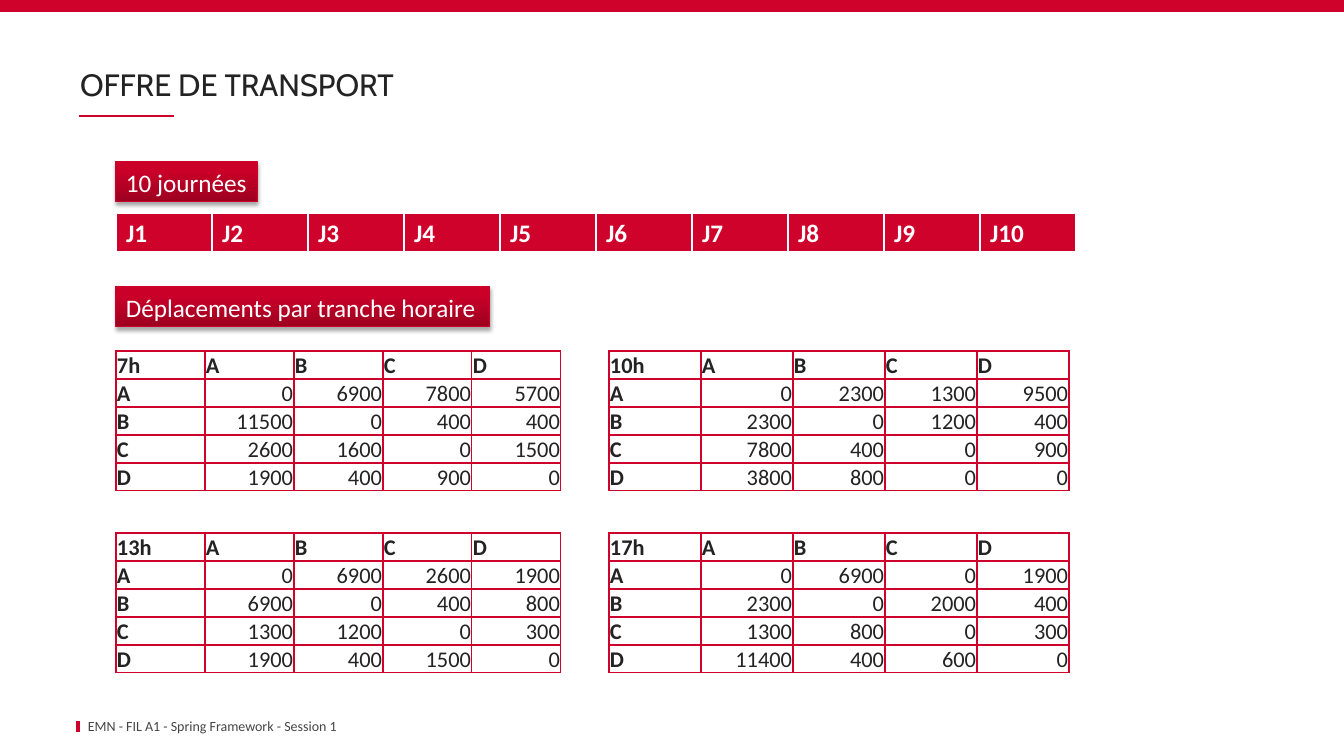
from lxml import etree
from pptx import Presentation, util as u
from pptx.dml.color import RGBColor
from pptx.enum import shapes, text
from pptx.oxml.ns import qn

TITLE = "OFFRE DE TRANSPORT"
FOOTER = "EMN - FIL A1 - Spring Framework - Session 1"
DAYS = [f"J{n}" for n in range(1, 11)]
LABELS = [("10 journées", 162, 142), ("Déplacements par tranche horaire", 287, 374)]
ZONES = "ABCD"
TRIPS = {
    "7h": [(0, 6900, 7800, 5700), (11500, 0, 400, 400),
           (2600, 1600, 0, 1500), (1900, 400, 900, 0)],
    "10h": [(0, 2300, 1300, 9500), (2300, 0, 1200, 400),
            (7800, 400, 0, 900), (3800, 800, 0, 0)],
    "13h": [(0, 6900, 2600, 1900), (6900, 0, 400, 800),
            (1300, 1200, 0, 300), (1900, 400, 1500, 0)],
    "17h": [(0, 6900, 0, 1900), (2300, 0, 2000, 400),
            (1300, 800, 0, 300), (11400, 400, 600, 0)],
}
LEFT = 116
SPOTS = [(LEFT, 89), (609, 92)]  # left edge and column width
TOPS = [351, 533]
RED, INK, GREY, WHITE = "CF022B", "232323", "464646", "FFFFFF"


def px(n):
    return u.Emu(round(n * 914400 / 100.8))


def color(code):
    return RGBColor.from_string(code)


def style(par, size, code, bold=False, face="Calibri"):
    font = par.font
    font.name, font.size, font.bold = face, u.Pt(size), bold
    font.color.rgb = color(code)


def inset(box, left, top, right, bottom):
    box.margin_left, box.margin_top = px(left), px(top)
    box.margin_right, box.margin_bottom = px(right), px(bottom)


def rule(x1, y1, x2, y2, width):
    line = slide.shapes.add_connector(
        shapes.MSO_CONNECTOR.STRAIGHT, px(x1), px(y1), px(x2), px(y2))
    line.line.color.rgb = color(RED)
    line.line.width = u.Pt(width)
    etree.SubElement(line._element.spPr, qn("a:effectLst"))


def border(cell, code, base=1):
    """Draw 1 pt cell borders, with the bottom one base points wide."""
    props = cell._tc.get_or_add_tcPr()
    for side, width in zip("LRTB", (1, 1, 1, base)):
        edge = etree.SubElement(props, qn(f"a:ln{side}"), w=str(u.Pt(width)))
        fill = etree.SubElement(edge, qn("a:solidFill"))
        etree.SubElement(fill, qn("a:srgbClr"), val=code)


def grid(rows, x, y, wide, high):
    """Add a plain table and yield each cell with its row, column and value."""
    count = len(rows[0])
    table = slide.shapes.add_table(len(rows), count, px(x), px(y),
                                   px(wide * count), px(high * len(rows))).table
    table.first_row = table.horz_banding = False
    for r, row in enumerate(rows):
        for c, value in enumerate(row):
            cell = table.cell(r, c)
            cell.text = str(value)
            yield cell, r, c


def trips(hour, data, x, y, wide):
    rows = [(hour, *ZONES)] + [(z, *row) for z, row in zip(ZONES, data)]
    for cell, r, c in grid(rows, x, y, wide, 28):
        head = r == 0 or c == 0
        border(cell, RED)
        cell.fill.background()
        inset(cell, 1, 1, 1, 0)
        cell.vertical_anchor = text.MSO_ANCHOR.BOTTOM
        par = cell.text_frame.paragraphs[0]
        style(par, 16, INK, head)
        par.alignment = text.PP_ALIGN.LEFT if head else text.PP_ALIGN.RIGHT


def label(words, y, wide):
    box = slide.shapes.add_shape(shapes.MSO_SHAPE.RECTANGLE,
                                 px(LEFT), px(y), px(wide), px(40))
    box.fill.gradient()
    box.fill.gradient_angle = 90
    for stop, code, place in zip(box.fill.gradient_stops,
                                 ("9C001F", "CB0029"), (0, 0.8)):
        stop.color.rgb, stop.position = color(code), place
    box.line.color.rgb = color("CC0029")
    box.line.width = u.Pt(0.75)
    effects = etree.SubElement(box._element.spPr, qn("a:effectLst"))
    shade = etree.SubElement(effects, qn("a:outerShdw"), blurRad=str(u.Pt(3.1)),
                             dist=str(u.Pt(1.8)), dir="5400000", rotWithShape="0")
    black = etree.SubElement(shade, qn("a:srgbClr"), val="000000")
    etree.SubElement(black, qn("a:alpha"), val="35000")
    frame = box.text_frame
    frame.text = words
    frame.word_wrap = False
    frame.auto_size = text.MSO_AUTO_SIZE.SHAPE_TO_FIT_TEXT
    frame.paragraphs[0].alignment = text.PP_ALIGN.LEFT
    style(frame.paragraphs[0], 18, WHITE)


deck = Presentation()
deck.slide_width, deck.slide_height = px(1344), px(756)
slide = deck.slides.add_slide(deck.slide_layouts[5])

rule(78, 721, 78, 732, 2.25)
rule(79, 116, 174, 116, 1)
band = slide.shapes.add_shape(shapes.MSO_SHAPE.RECTANGLE, 0, 0, px(1344), px(12))
band.shadow.inherit = False
band.fill.solid()
band.fill.fore_color.rgb = color(RED)
band.line.fill.background()

title = slide.shapes.title
title.left, title.top, title.width, title.height = px(80), px(21), px(1182), px(87)
frame = title.text_frame
frame.text = TITLE
frame.auto_size = text.MSO_AUTO_SIZE.NONE
frame.vertical_anchor = text.MSO_ANCHOR.BOTTOM
inset(frame, 0, 5, 0, 5)
par = frame.paragraphs[0]
par.alignment, par.line_spacing = text.PP_ALIGN.LEFT, 0.9
style(par, 22, INK, face="Cabin")

frame = slide.shapes.add_textbox(px(78), px(717), px(668), px(18)).text_frame
frame.text = FOOTER
frame.word_wrap = True
frame.vertical_anchor = text.MSO_ANCHOR.MIDDLE
style(frame.paragraphs[0], 10, GREY)

for i, (hour, data) in enumerate(TRIPS.items()):
    x, wide = SPOTS[i % 2]
    trips(hour, data, x, TOPS[i // 2], wide)

for cell, _, _ in grid([DAYS], LEFT, 213, 96, 40):
    border(cell, WHITE, 3)
    cell.fill.solid()
    cell.fill.fore_color.rgb = color(RED)
    style(cell.text_frame.paragraphs[0], 18, WHITE, True)

for item in LABELS:
    label(*item)

deck.save("out.pptx")
